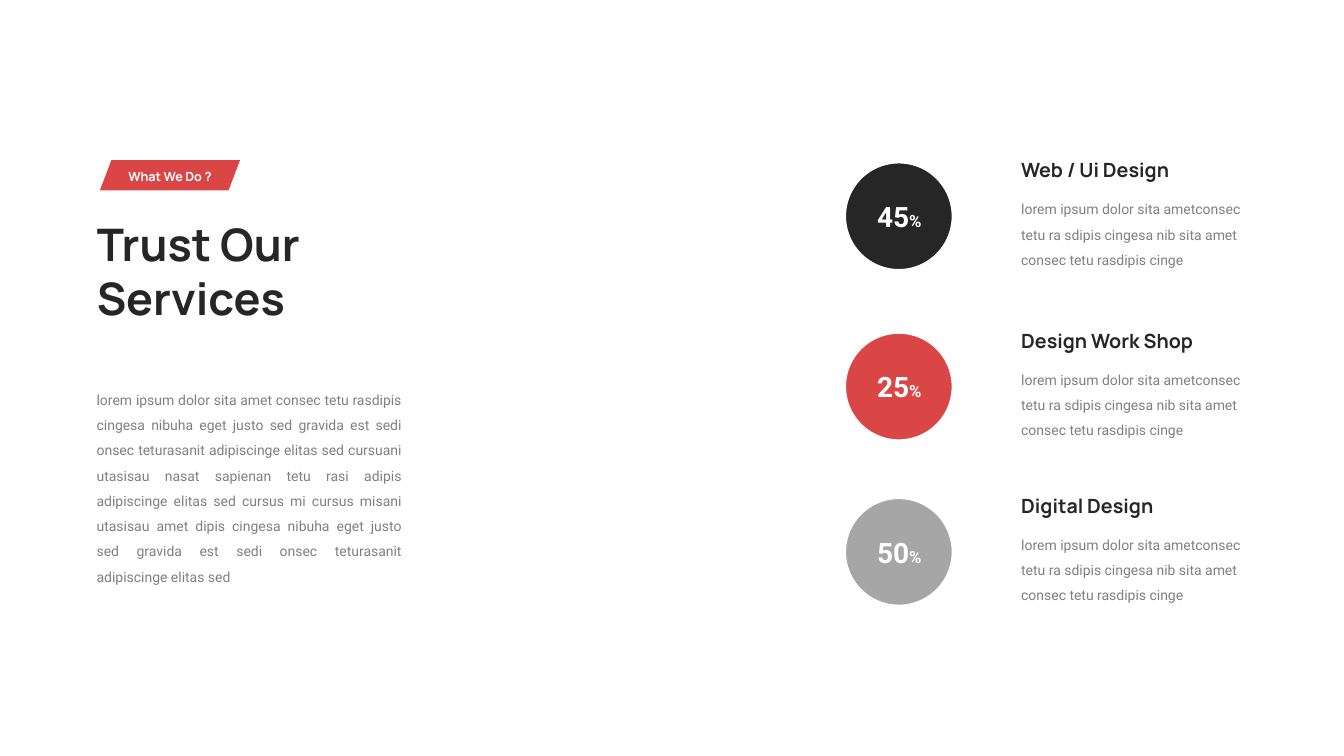
from pptx import Presentation
from pptx.dml.color import RGBColor
from pptx.enum.shapes import MSO_SHAPE as Preset
from pptx.enum.text import MSO_ANCHOR as Anchor, MSO_AUTO_SIZE as AutoSize, PP_ALIGN as Align
from pptx.util import Inches, Pt

WHITE = RGBColor(0xFF, 0xFF, 0xFF)
INK = RGBColor(0x26, 0x26, 0x26)
RED = RGBColor(0xDA, 0x46, 0x46)
SILVER = RGBColor(0xA6, 0xA6, 0xA6)
GRAY = RGBColor(0x80, 0x80, 0x80)


def assign(target, values):
    for name, value in values.items():
        setattr(target, name, value)


class Composer:
    FONTS = {
        "title": (dict(name="Manrope", size=Pt(32), bold=True), INK),
        "badge": (dict(name="Manrope", size=Pt(9), bold=True), WHITE),
        "heading": (dict(name="Manrope", size=Pt(14), bold=True), INK),
        "body": (dict(name="Roboto", size=Pt(10), bold=False), GRAY),
        "number": (dict(name="Roboto", size=Pt(20), bold=True), WHITE),
        "unit": (dict(name="Roboto", size=Pt(12), bold=True), WHITE),
    }
    FRAME = dict(word_wrap=True, auto_size=AutoSize.NONE, vertical_anchor=Anchor.TOP,
                 margin_left=Inches(0.1), margin_right=Inches(0.1),
                 margin_top=Inches(0.05), margin_bottom=Inches(0.05))

    def __init__(self, slide):
        self.slide = slide

    def fill_frame(self, frame, runs, align=Align.LEFT, spacing=1.0, wrap=True):
        assign(frame, {**self.FRAME, "word_wrap": wrap})
        paragraph = frame.paragraphs[0]
        assign(paragraph, dict(alignment=align, line_spacing=spacing))
        for words, style in runs:
            run = paragraph.add_run()
            run.text = words
            font_values, color = self.FONTS[style]
            assign(run.font, font_values)
            run.font.color.rgb = color

    def title(self, box, words):
        heading = self.slide.shapes.title
        assign(heading, dict(zip(("left", "top", "width", "height"), map(Inches, box))))
        self.fill_frame(heading.text_frame, [(words, "title")])

    def text(self, box, runs, parent=None, **layout):
        shapes = (parent or self.slide).shapes
        self.fill_frame(shapes.add_textbox(*map(Inches, box)).text_frame, runs, **layout)

    def shape(self, preset, box, color, parent=None, outline=None):
        figure = (parent or self.slide).shapes.add_shape(preset, *map(Inches, box))
        figure.shadow.inherit = False
        figure.fill.solid()
        figure.fill.fore_color.rgb = color
        if outline:
            figure.line.color.rgb = outline
            figure.line.width = Pt(4.5)
        else:
            figure.line.fill.background()
        return figure

    def badge(self, box, label_box, words):
        group = self.slide.shapes.add_group_shape()
        banner = self.shape(Preset.PARALLELOGRAM, box, RED, group)
        banner.adjustments[0] = 0.38
        self.text(label_box, [(words, "badge")], group, align=Align.CENTER, wrap=False)

    def service(self, top, color, percent, name, summary):
        self.shape(Preset.OVAL, (8.36, top, 1.11, 1.11), color, outline=WHITE)
        self.text((10.03, top - 0.07, 2.25, 0.34), [(name, "heading")])
        self.text((10.03, top + 0.27, 2.58, 0.86), [(summary, "body")], spacing=1.5)
        self.text((8.5, top + 0.34, 0.84, 0.44),
                  [(percent, "number"), ("%", "unit")], align=Align.CENTER)


INTRO = ("lorem ipsum dolor sita amet consec tetu rasdipis cingesa nibuha eget justo sed "
         "gravida est sedi onsec teturasanit adipiscinge elitas sed cursuani utasisau nasat "
         "sapienan tetu rasi adipis adipiscinge elitas sed cursus mi cursus misani utasisau "
         "amet dipis cingesa nibuha eget justo sed gravida est sedi onsec teturasanit "
         "adipiscinge elitas sed")
SUMMARY = ("lorem ipsum dolor sita ametconsec tetu ra sdipis cingesa nib sita amet "
           "consec tetu rasdipis cinge")
SERVICES = [
    (1.59, INK, "45", "Web / Ui Design"),
    (3.28, RED, "25", "Design Work Shop"),
    (4.92, SILVER, "50", "Digital Design"),
]

deck = Presentation()
assign(deck, dict(slide_width=Inches(13.33), slide_height=Inches(7.5)))
composer = Composer(deck.slides.add_slide(deck.slide_layouts[5]))

composer.title((0.86, 2.1, 2.57, 1.18), "Trust Our Services")
composer.badge((0.99, 1.59, 1.39, 0.3), (1.11, 1.63, 1.15, 0.25), "What We Do ?")
composer.text((0.86, 3.75, 3.22, 2.12), [(INTRO, "body")], align=Align.JUSTIFY, spacing=1.5)
for top, color, percent, name in SERVICES:
    composer.service(top, color, percent, name, SUMMARY)

deck.save("out.pptx")
